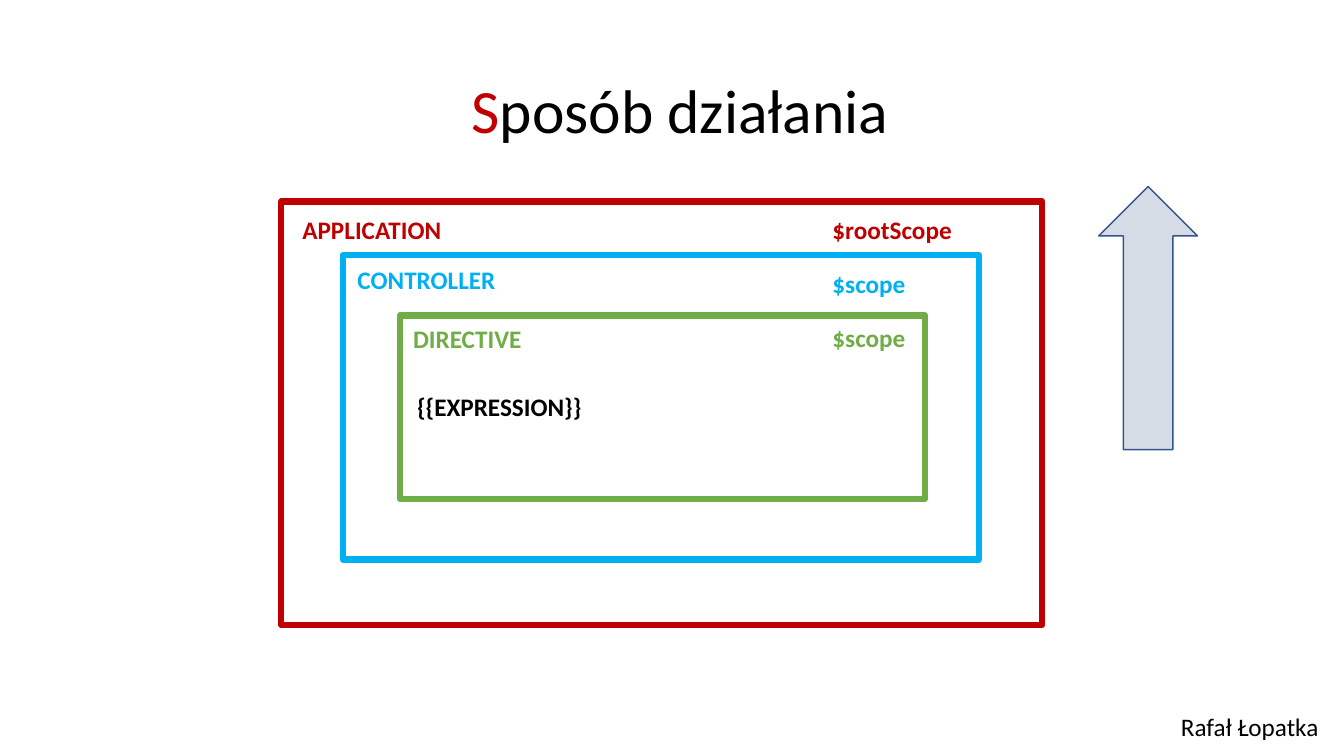
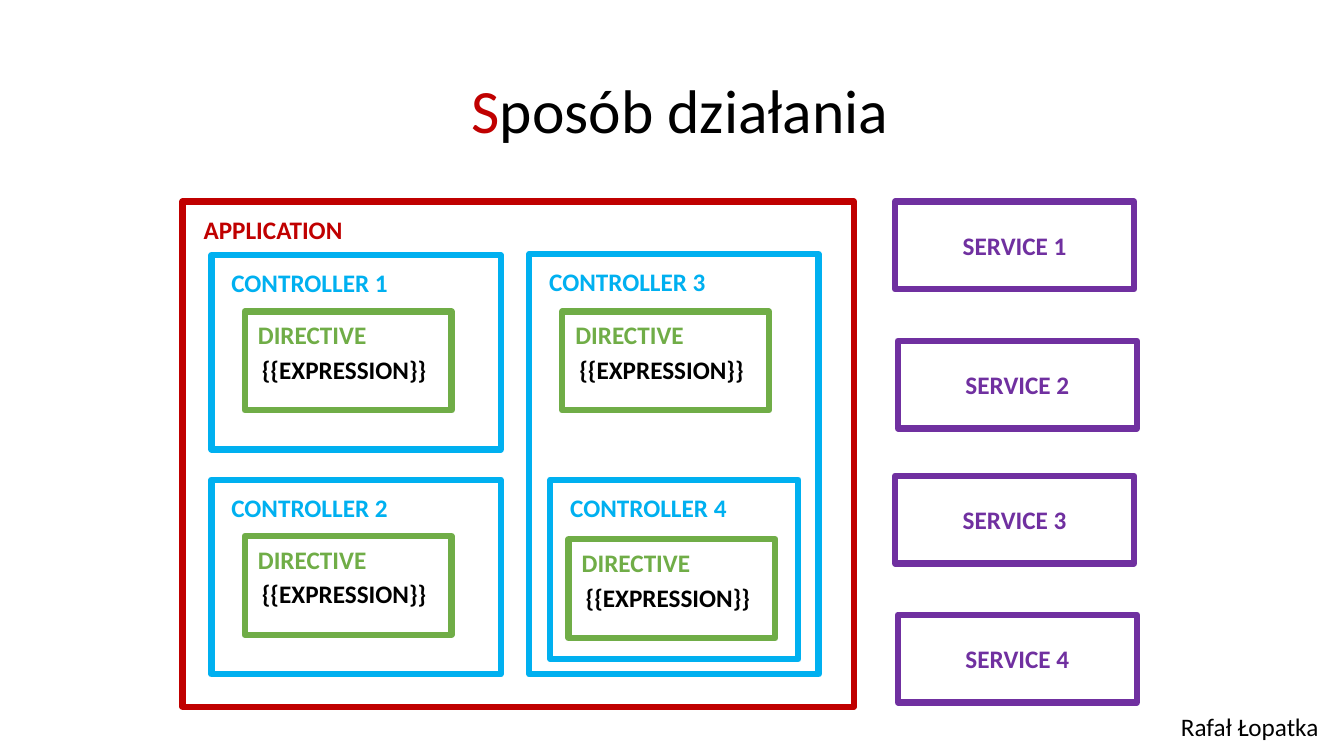
"""Build two slides on how application scopes, controllers and services nest."""
from dataclasses import dataclass

from pptx import Presentation
from pptx import util as u
from pptx.dml.color import RGBColor
from pptx.enum import shapes, text


@dataclass(frozen=True)
class Theme:
    font: str = "Calibri"
    title_size: int = 44
    body_size: int = 18
    frame_line: float = 4.5
    arrow_line: float = 1
    black: str = "000000"
    white: str = "FFFFFF"
    application: str = "C00000"
    controller: str = "00B0F0"
    directive: str = "70AD47"
    service: str = "7030A0"
    arrow_fill: str = "D6DCE5"
    arrow_edge: str = "325491"


theme = Theme()


def add_run(paragraph, wording, color, size=theme.body_size, bold=True):
    run = paragraph.add_run()
    run.text = wording
    run.font.name = theme.font
    run.font.size = u.Pt(size)
    run.font.bold = bold
    run.font.color.rgb = RGBColor.from_string(color)


def add_outlined(slide, kind, box, fill, edge, line_width):
    shape = slide.shapes.add_shape(kind, *map(u.Cm, box))
    shape.shadow.inherit = False
    shape.fill.solid()
    shape.fill.fore_color.rgb = RGBColor.from_string(fill)
    shape.line.color.rgb = RGBColor.from_string(edge)
    shape.line.width = u.Pt(line_width)
    return shape


presentation = Presentation()
presentation.slide_width = u.Cm(33.87)
presentation.slide_height = u.Cm(19.05)

label_height = 1.02
footer = ("Rafał Łopatka", 29.51, 17.81, 4.01, theme.black, False)
expression = "{{EXPRESSION}}"

scope_frames = [
    ((7.09, 5.08, 19.18, 10.67), theme.application, ""),
    ((8.64, 6.43, 16.03, 7.67), theme.controller, ""),
    ((10.08, 7.95, 13.23, 4.62), theme.directive, ""),
]
scope_labels = [
    footer,
    ("APPLICATION", 7.37, 5.28, 4.05, theme.application, True),
    ("CONTROLLER", 8.76, 6.53, 4.02, theme.controller, True),
    ("DIRECTIVE", 10.16, 8.03, 3.28, theme.directive, True),
    (expression, 10.26, 9.73, 4.7, theme.black, True),
    ("$rootScope", 20.73, 5.28, 3.97, theme.application, True),
    ("$scope", 20.73, 6.63, 2.62, theme.controller, True),
    ("$scope", 20.73, 8, 2.62, theme.directive, True),
]

service_frames = [((4.6, 5.08, 16.92, 12.73), theme.application, "")]
service_labels = [
    footer,
    ("APPLICATION", 4.88, 5.28, 4.05, theme.application, True),
]
controllers = [
    (1, (5.33, 6.43, 7.29, 4.9), (6.17, 7.85)),
    (2, (5.33, 12.09, 7.29, 4.9), (6.17, 13.51)),
    (3, (13.34, 6.4, 7.29, 10.59), (14.17, 7.85)),
    (4, (13.87, 12.09, 6.25, 4.52), (14.33, 13.59)),
]
for number, box, (left, top) in controllers:
    service_frames += [
        (box, theme.controller, ""),
        ((left, top, 5.21, 2.49), theme.directive, ""),
    ]
    service_labels += [
        (f"CONTROLLER {number}", box[0] + 0.25, box[1] + 0.18, 4.5, theme.controller, True),
        ("DIRECTIVE", left + 0.08, top + 0.08, 3.28, theme.directive, True),
        (expression, left + 0.18, top + 0.95, 4.7, theme.black, True),
    ]
service_places = [(22.56, 5.08), (22.63, 8.59), (22.56, 11.99), (22.63, 15.49)]
for number, (left, top) in enumerate(service_places, 1):
    service_frames.append(((left, top, 6.02, 2.21), theme.service, f"SERVICE {number}"))

for frames, labels in ((scope_frames, scope_labels), (service_frames, service_labels)):
    slide = presentation.slides.add_slide(presentation.slide_layouts[5])

    title = slide.shapes.title
    title.left, title.top, title.width, title.height = map(u.Cm, (11.63, 1.68, 12.22, 2.13))
    title.text_frame.auto_size = text.MSO_AUTO_SIZE.NONE
    title.text_frame.vertical_anchor = text.MSO_ANCHOR.TOP
    paragraph = title.text_frame.paragraphs[0]
    paragraph.alignment = text.PP_ALIGN.LEFT
    add_run(paragraph, "S", theme.application, theme.title_size, False)
    add_run(paragraph, "posób działania", theme.black, theme.title_size, False)

    for box, color, wording in frames:
        shape = add_outlined(
            slide, shapes.MSO_SHAPE.RECTANGLE, box, theme.white, color, theme.frame_line
        )
        if wording:
            shape.text_frame.vertical_anchor = text.MSO_ANCHOR.MIDDLE
            paragraph = shape.text_frame.paragraphs[0]
            paragraph.alignment = text.PP_ALIGN.CENTER
            add_run(paragraph, wording, color)

    for wording, left, top, width, color, bold in labels:
        label = slide.shapes.add_textbox(*map(u.Cm, (left, top, width, label_height)))
        label.text_frame.word_wrap = True
        add_run(label.text_frame.paragraphs[0], wording, color, bold=bold)

add_outlined(
    presentation.slides[0], shapes.MSO_SHAPE.UP_ARROW, (27.69, 4.7, 2.49, 6.63),
    theme.arrow_fill, theme.arrow_edge, theme.arrow_line,
)

presentation.save("out.pptx")
